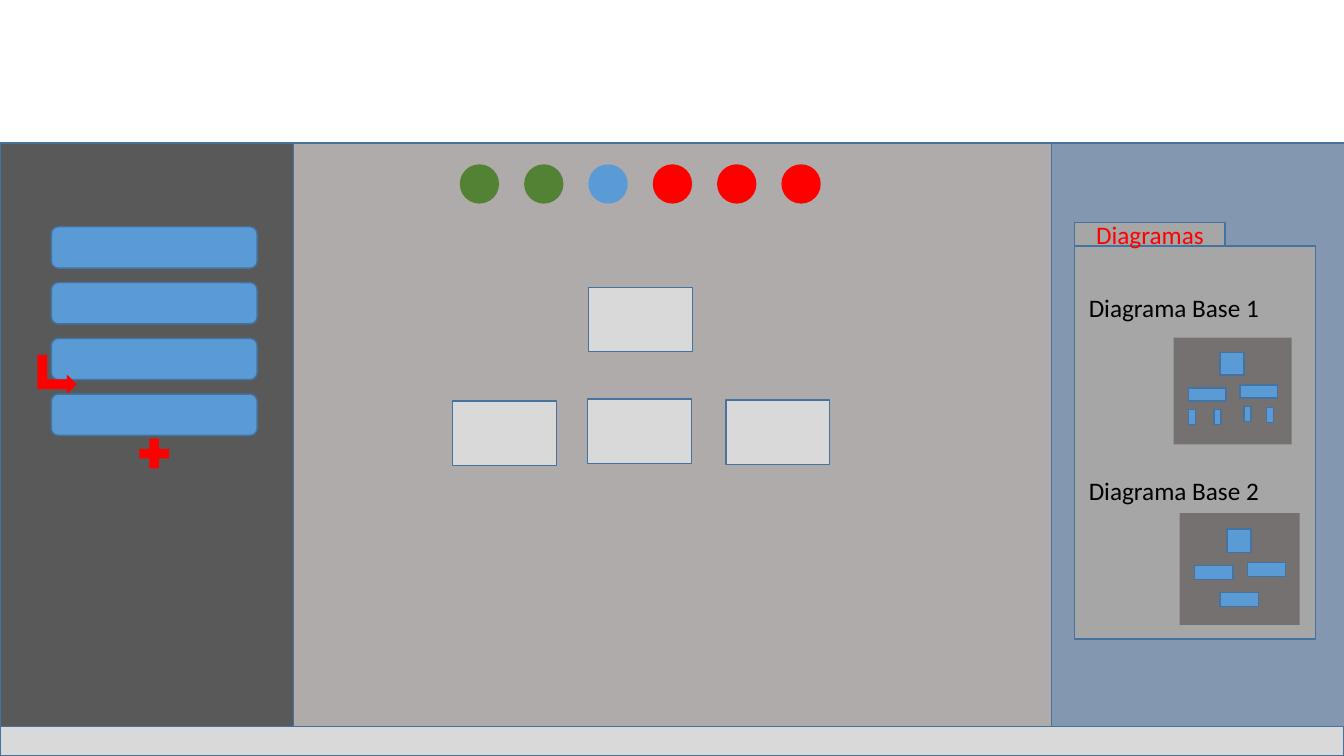
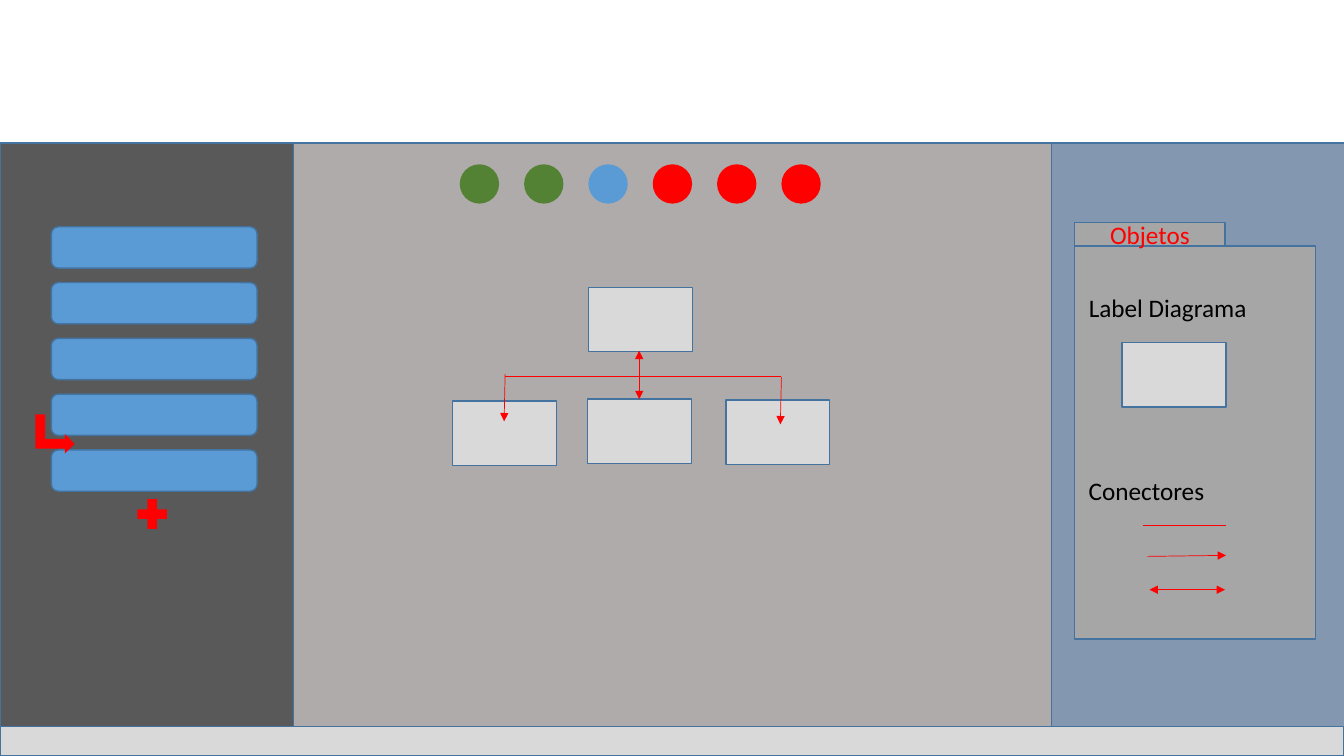
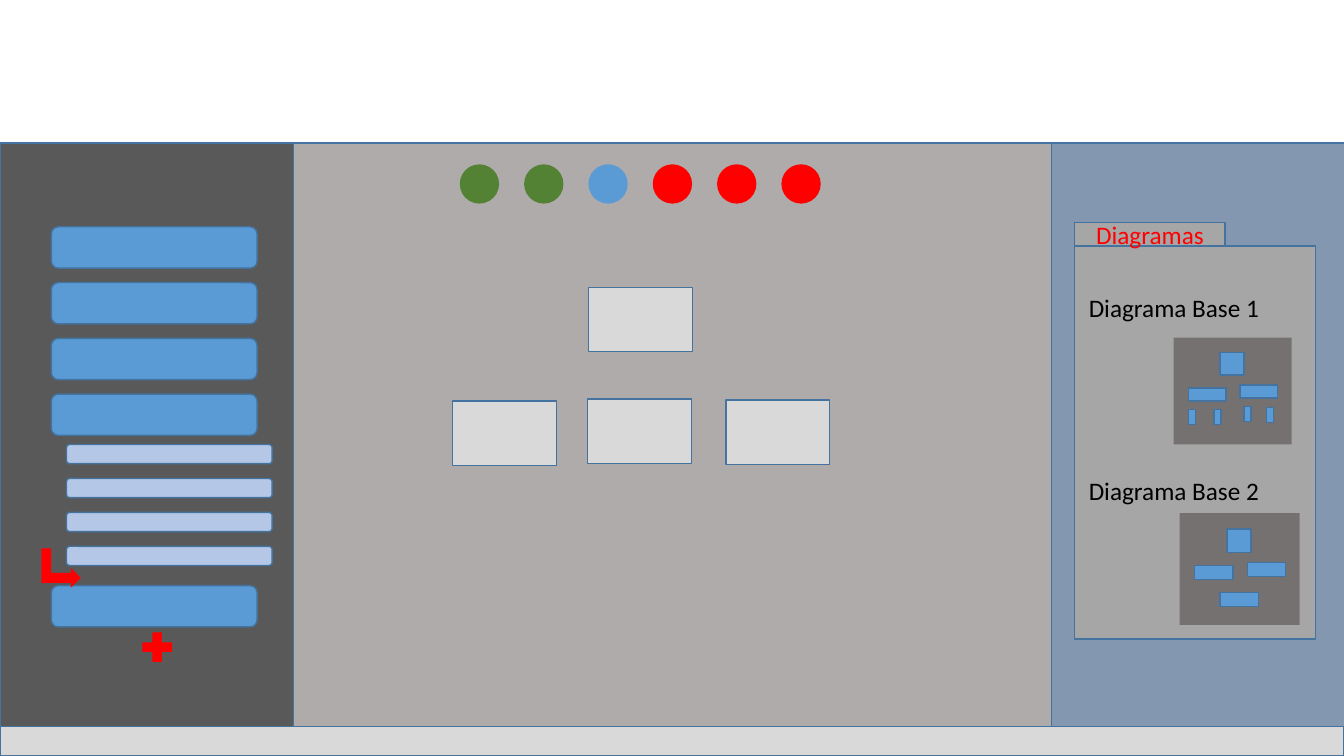
from lxml import etree
from pptx import Presentation
from pptx.dml.color import RGBColor
from pptx.enum.shapes import MSO_CONNECTOR, MSO_SHAPE
from pptx.enum.text import MSO_ANCHOR, MSO_AUTO_SIZE, PP_ALIGN
from pptx.oxml.ns import qn
from pptx.util import Inches, Pt

RECTANGLE = MSO_SHAPE.RECTANGLE
ROUNDED = MSO_SHAPE.ROUNDED_RECTANGLE
OVAL = MSO_SHAPE.OVAL
PLUS = MSO_SHAPE.MATH_PLUS
BENT_ARROW = MSO_SHAPE.BENT_UP_ARROW
STRAIGHT = MSO_CONNECTOR.STRAIGHT
CENTER = PP_ALIGN.CENTER
MIDDLE = MSO_ANCHOR.MIDDLE
GROW = MSO_AUTO_SIZE.SHAPE_TO_FIT_TEXT

FONT = "Calibri"
TEXT_SIZE = 18
COLORS = {
    "canvas": "AFABAB",
    "menu": "595959",
    "sidebar": "8497B0",
    "light": "D9D9D9",
    "outline": "43739E",
    "blue": "5B9BD5",
    "pale": "B4C7E7",
    "green": "548235",
    "red": "FF0000",
    "panel": "A6A6A6",
    "thumbnail": "767171",
    "text": "000000",
}

FRAME = [
    ((0, 1.42, 13.33, 6.08), "canvas"),
    ((0, 1.42, 2.91, 5.79), "menu"),
    ((10.43, 1.42, 2.91, 5.79), "sidebar"),
    ((0, 7.21, 13.33, 0.29), "light"),
]
STEP_COLORS = ["green", "green", "blue", "red", "red", "red"]
STEP_LEFT, STEP_TOP, STEP_SIZE, STEP_PITCH = 4.56, 1.63, 0.39, 3.19 / 5

BUTTON_LEFT, BUTTON_TOP, BUTTON_WIDTH, BUTTON_HEIGHT = 0.51, 2.25, 2.04, 0.41
BUTTON_PITCH = 1.66 / 3
SUBITEM_LEFT, SUBITEM_TOP, SUBITEM_HEIGHT = 0.66, 4.41, 0.19
SUBITEM_PITCH = 1.01 / 3
PLUS_SIZE, ARROW_SIZE = 0.4, 0.39

NODE_SIZE = (1.03, 0.64)
NODES = [(5.84, 2.85), (5.83, 3.96), (4.49, 3.98), (7.2, 3.97)]

PANEL = (10.66, 2.44, 2.39, 3.9)
PANEL_TAB = (10.66, 2.21, 1.49, 0.23)
LABEL_LEFT, LABEL_TOPS, LABEL_HEIGHT = 10.7, (2.85, 4.67), 0.4

THUMBNAILS = [
    {
        "back": (11.64, 3.35, 1.17, 1.06),
        "parts": [
            ((0.24, 0.22), [(12.1, 3.5)]),
            ((0.37, 0.13), [(11.79, 3.85), (12.3, 3.82)]),
            ((0.07, 0.15), [(11.79, 4.06), (12.04, 4.06), (12.34, 4.03), (12.56, 4.04)]),
        ],
    },
    {
        "back": (11.7, 5.09, 1.19, 1.11),
        "parts": [
            ((0.24, 0.23), [(12.17, 5.25)]),
            ((0.38, 0.14), [(11.85, 5.61), (12.37, 5.58), (12.1, 5.88)]),
        ],
    },
]
DIAGRAM_PANEL = {
    "tab": "Diagramas",
    "labels": [("Diagrama Base 1", 1.91), ("Diagrama Base 2", 1.91)],
    "thumbnails": THUMBNAILS,
    "nodes": [],
    "connectors": [],
}
OBJECT_PANEL = {
    "tab": "Objetos",
    "labels": [("Label Diagrama", 1.79), ("Conectores", 1.36)],
    "thumbnails": [],
    "nodes": [(11.13, 3.4)],
    "connectors": [
        ((11.34, 5.21), (12.16, 5.21), ()),
        ((11.38, 5.52), (12.16, 5.51), ("tailEnd",)),
        ((11.4, 5.85), (12.15, 5.85), ("headEnd", "tailEnd")),
        ((5.01, 3.73), (7.75, 3.73), ()),
        ((5.01, 3.71), (5, 4.18), ("tailEnd",)),
        ((7.75, 3.74), (7.74, 4.21), ("tailEnd",)),
        ((6.34, 3.48), (6.34, 3.96), ("headEnd", "tailEnd")),
    ],
}
SCREENS = [
    {"buttons": 4, "last_button": None, "subitems": 0,
     "plus": (1.33, 4.3), "arrow": (0.37, 3.52), "panel": DIAGRAM_PANEL},
    {"buttons": 5, "last_button": None, "subitems": 0,
     "plus": (1.31, 4.9), "arrow": (0.35, 4.11), "panel": OBJECT_PANEL},
    {"buttons": 4, "last_button": 5.81, "subitems": 4,
     "plus": (1.36, 6.22), "arrow": (0.41, 5.44), "panel": DIAGRAM_PANEL},
]


def rgb(name):
    return RGBColor.from_string(COLORS[name])


def add_box(shapes, kind, bounds, fill, outlined=True):
    shape = shapes.add_shape(kind, *[Inches(length) for length in bounds])
    shape.shadow.inherit = False
    shape.fill.solid()
    shape.fill.fore_color.rgb = rgb(fill)
    if outlined:
        shape.line.color.rgb = rgb("outline")
        shape.line.width = Pt(1)
    else:
        shape.line.fill.background()
    return shape


def write_text(shape, text, color):
    paragraph = shape.text_frame.paragraphs[0]
    paragraph.text = text
    font = paragraph.runs[0].font
    font.name = FONT
    font.size = Pt(TEXT_SIZE)
    font.color.rgb = rgb(color)
    return paragraph


def add_connector(shapes, start, end, arrowheads):
    points = [Inches(length) for length in start + end]
    connector = shapes.add_connector(STRAIGHT, *points)
    connector.line.color.rgb = rgb("red")
    connector.line.width = Pt(0.5)
    properties = connector.line._get_or_add_ln()
    for arrowhead in arrowheads:
        etree.SubElement(properties, qn("a:" + arrowhead)).set("type", "triangle")
    etree.SubElement(connector._element.spPr, qn("a:effectLst"))


def add_frame(shapes):
    for bounds, fill in FRAME:
        add_box(shapes, RECTANGLE, bounds, fill)


def add_buttons(shapes, screen):
    tops = [BUTTON_TOP + index * BUTTON_PITCH for index in range(screen["buttons"])]
    if screen["last_button"]:
        tops.append(screen["last_button"])
    for top in tops:
        add_box(shapes, ROUNDED, (BUTTON_LEFT, top, BUTTON_WIDTH, BUTTON_HEIGHT), "blue")


def add_steps(shapes):
    for index, fill in enumerate(STEP_COLORS):
        left = STEP_LEFT + index * STEP_PITCH
        add_box(shapes, OVAL, (left, STEP_TOP, STEP_SIZE, STEP_SIZE), fill, False)


def add_nodes(shapes, positions):
    for position in positions:
        add_box(shapes, RECTANGLE, position + NODE_SIZE, "light")


def add_thumbnail(shapes, thumbnail):
    group = shapes.add_group_shape()
    add_box(group.shapes, RECTANGLE, thumbnail["back"], "thumbnail", False)
    for size, positions in thumbnail["parts"]:
        for position in positions:
            add_box(group.shapes, RECTANGLE, position + size, "blue")


def add_panel(shapes, panel):
    group = shapes.add_group_shape()
    add_box(group.shapes, RECTANGLE, PANEL, "panel")
    tab = add_box(group.shapes, RECTANGLE, PANEL_TAB, "panel")
    tab.text_frame.vertical_anchor = MIDDLE
    write_text(tab, panel["tab"], "red").alignment = CENTER
    for thumbnail in panel["thumbnails"]:
        add_thumbnail(shapes, thumbnail)
    for (text, width), top in zip(panel["labels"], LABEL_TOPS):
        bounds = (LABEL_LEFT, top, width, LABEL_HEIGHT)
        label = shapes.add_textbox(*[Inches(length) for length in bounds])
        label.text_frame.word_wrap = False
        label.text_frame.auto_size = GROW
        write_text(label, text, "text")
    add_nodes(shapes, panel["nodes"])
    for start, end, arrowheads in panel["connectors"]:
        add_connector(shapes, start, end, arrowheads)


def add_markers(shapes, screen):
    add_box(shapes, PLUS, screen["plus"] + (PLUS_SIZE, PLUS_SIZE), "red", False)
    arrow = add_box(shapes, BENT_ARROW, screen["arrow"] + (ARROW_SIZE, ARROW_SIZE), "red", False)
    arrow.rotation = 90


def add_subitems(shapes, count):
    for index in range(count):
        top = SUBITEM_TOP + index * SUBITEM_PITCH
        add_box(shapes, ROUNDED, (SUBITEM_LEFT, top, BUTTON_WIDTH, SUBITEM_HEIGHT), "pale")


presentation = Presentation()
presentation.slide_width = Inches(13.33)
presentation.slide_height = Inches(7.5)
blank_layout = presentation.slide_layouts[6]

for screen in SCREENS:
    shapes = presentation.slides.add_slide(blank_layout).shapes
    add_frame(shapes)
    add_buttons(shapes, screen)
    add_steps(shapes)
    add_nodes(shapes, NODES)
    add_panel(shapes, screen["panel"])
    add_markers(shapes, screen)
    add_subitems(shapes, screen["subitems"])

presentation.save("out.pptx")
